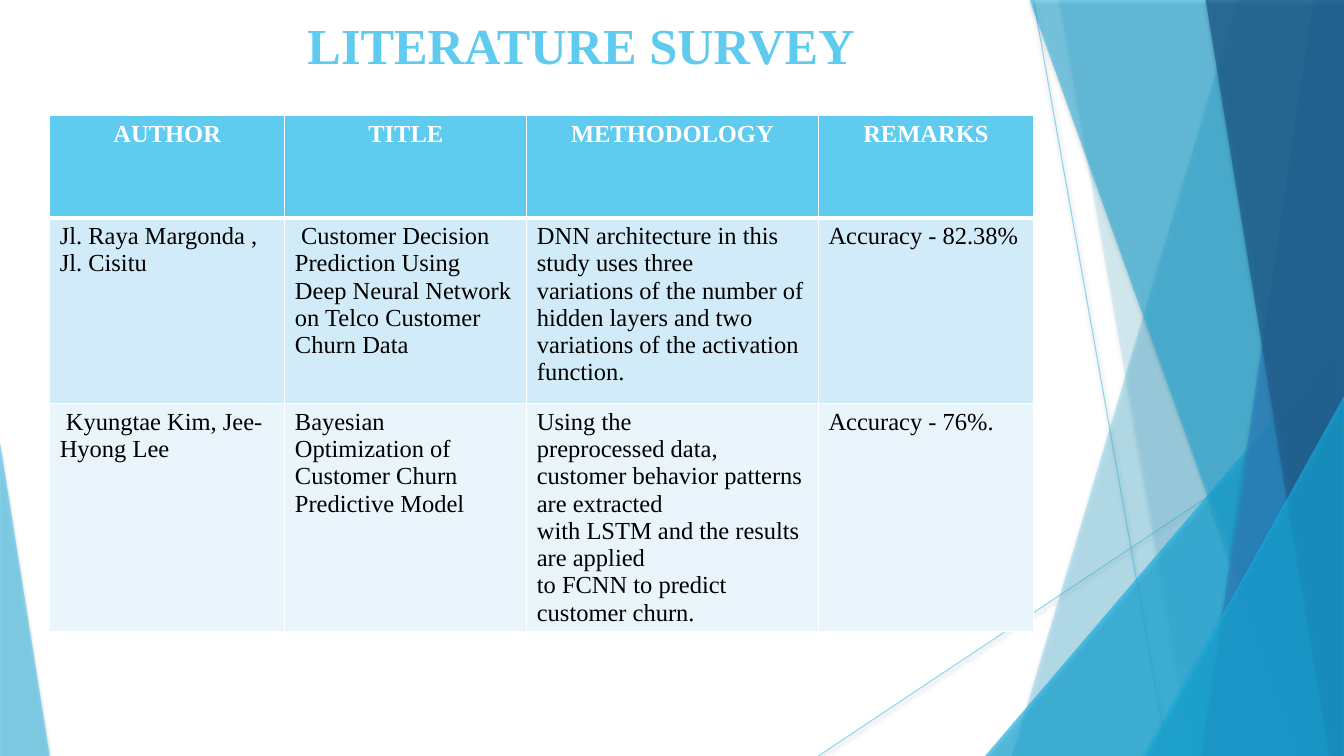
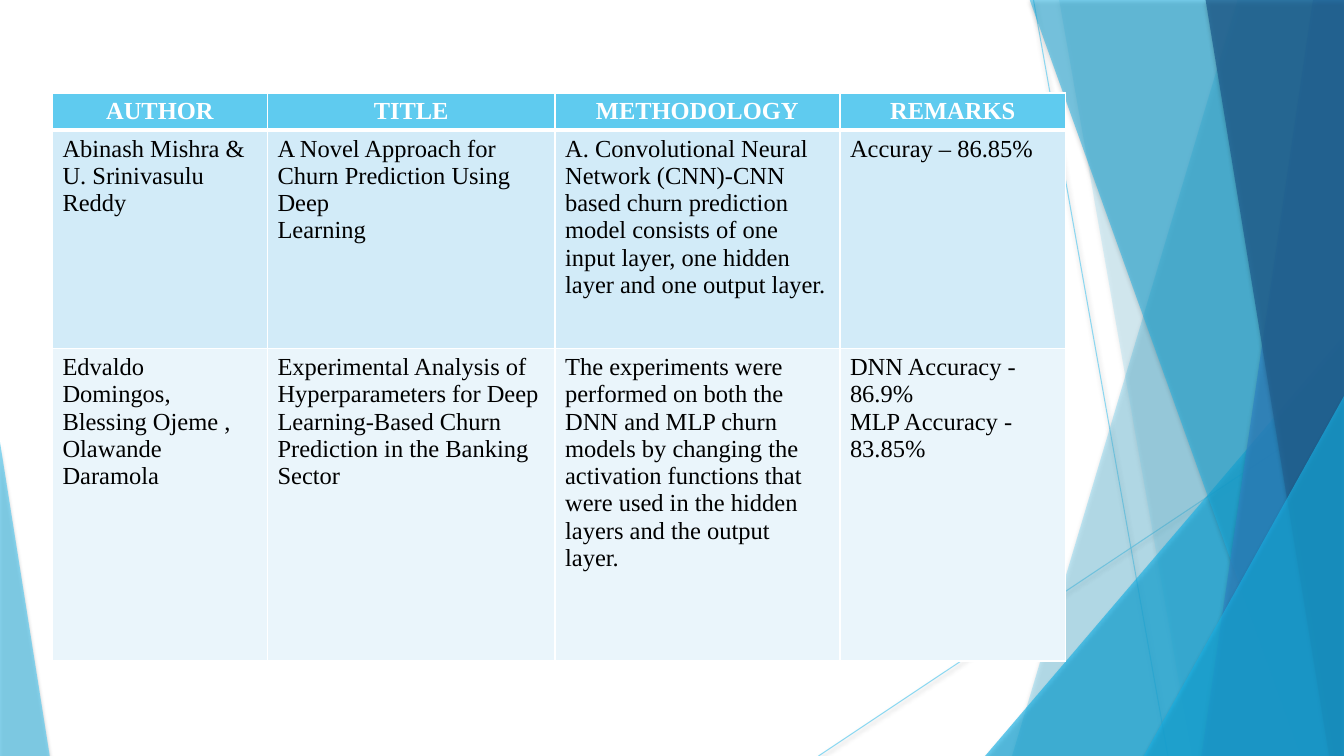
import pptx
import pptx.dml.color
import pptx.enum.shapes
import pptx.enum.text
import pptx.oxml
import pptx.oxml.ns
import pptx.util

SKY, CYAN, BLUE, NAVY = "5FCBEF", "17B0E4", "2E83C3", "226292"
WHITE, BLACK = "FFFFFF", "000000"
BODY_FILLS = ["D2EBF8", "EAF5FB"]
FONT = "Times New Roman"
DRAWING = pptx.oxml.ns.nsdecls("a")
CENTER = pptx.enum.text.PP_ALIGN.CENTER
LEFT = pptx.enum.text.PP_ALIGN.LEFT


def color(value):
    return pptx.dml.color.RGBColor.from_string(value)


def make_glassy(facet, opacity, shadow_opacity, blur, distance):
    properties = facet.element.spPr
    for tint in properties.xpath(".//a:srgbClr"):
        tint.append(pptx.oxml.parse_xml(f'<a:alpha {DRAWING} val="{opacity * 1000}"/>'))
    properties.append(pptx.oxml.parse_xml(
        f'<a:effectLst {DRAWING}><a:outerShdw blurRad="{blur}" dist="{distance}" '
        f'dir="5400000" rotWithShape="0"><a:srgbClr val="{BLACK}">'
        f'<a:alpha val="{shadow_opacity * 1000}"/></a:srgbClr></a:outerShdw></a:effectLst>'))


deck = pptx.Presentation()
deck.slide_width = pptx.util.Emu(12192000)
deck.slide_height = pptx.util.Emu(6858000)
column = deck.slide_width // 1000
row = deck.slide_height // 1000

survey = deck.slides.add_slide(deck.slide_layouts[5])
survey_continued = deck.slides.add_slide(deck.slide_layouts[6])

facets = []
for start_x, start_y, end_x, end_y in [(769, 0, 869, 1000), (1000, 537, 609, 1000)]:
    ray = survey.shapes.add_connector(
        pptx.enum.shapes.MSO_CONNECTOR.STRAIGHT,
        start_x * column, start_y * row, end_x * column, end_y * row)
    ray.line.color.rgb = color(SKY)
    ray.line.width = pptx.util.Pt(0.75)
    make_glassy(ray, 70, 38, 40000, 20000)
    facets.append(ray)

for kind, place, fill, opacity in [
    ("band", (921, 753), SKY, 36),
    ("band", (788, 887), SKY, 20),
    ("corner", (733, 444, 267, 556, 1), CYAN, 66),
    ("band", (766, 968), CYAN, 50),
    ("band", (977, 894), BLUE, 70),
    ("band", (897, 989), NAVY, 80),
    ("corner", (851, 524, 149, 476, 1), CYAN, 66),
    ("corner", (0, 585, 37, 415, 0), SKY, 70),
]:
    if kind == "band":
        top_x, bottom_x = place
        outline = survey.shapes.build_freeform(top_x, -1, (column, row))
        outline.add_line_segments([(1000, -1), (1000, 1000), (bottom_x, 1000)])
        facet = outline.convert_to_shape()
    else:
        left, top, width, height, apex = place
        facet = survey.shapes.add_shape(
            pptx.enum.shapes.MSO_SHAPE.ISOSCELES_TRIANGLE,
            left * column, top * row, width * column, height * row)
        facet.adjustments[0] = apex
    facet.fill.solid()
    facet.fill.fore_color.rgb = color(fill)
    facet.line.fill.background()
    make_glassy(facet, opacity, 35, 38100, 25400)
    facets.append(facet)

for number, facet in enumerate(facets, 100):
    facet.element.xpath(".//p:cNvPr")[0].set("id", str(number))
    deck.slide_master.shapes.element.append(facet.element)

heading = survey.shapes.title
heading.left, heading.top = 80 * column, 12 * row
heading.width, heading.height = 705 * column, 192 * row
heading.text_frame.text = "LITERATURE SURVEY"
heading.text_frame.vertical_anchor = pptx.enum.text.MSO_ANCHOR.TOP
heading_line = heading.text_frame.paragraphs[0]
heading_line.alignment = CENTER
heading_line.font.name = FONT
heading_line.font.size = pptx.util.Pt(36)
heading_line.font.bold = True
heading_line.font.color.rgb = color(SKY)

HEADERS = ["AUTHOR", "TITLE", "METHODOLOGY", "REMARKS"]
surveys = [
    (survey, (37, 153), [175, 180, 217, 160], [135, 246, 301], [
        ["Jl. Raya Margonda , Jl. Cisitu",
         " Customer Decision Prediction Using Deep Neural Network\n"
         "on Telco Customer Churn Data",
         "DNN architecture in this study uses three\n"
         "variations of the number of hidden layers and two\n"
         "variations of the activation function.",
         "Accuracy - 82.38%"],
        [" Kyungtae Kim, Jee-Hyong Lee",
         "Bayesian Optimization of Customer Churn\nPredictive Model",
         "Using the\n"
         "preprocessed data, customer behavior patterns are extracted\n"
         "with LSTM and the results are applied\n"
         "to FCNN to predict customer churn.",
         "Accuracy - 76%."],
    ]),
    (survey_continued, (39, 123), [160, 214, 212, 168], [49, 289, 413], [
        ["Abinash Mishra & U. Srinivasulu Reddy",
         "A Novel Approach for Churn Prediction Using Deep\nLearning",
         "A. Convolutional Neural Network (CNN)-CNN based churn prediction model "
         "consists of one input layer, one hidden layer and one output layer.",
         "Accuray – 86.85%"],
        ["Edvaldo Domingos, Blessing Ojeme , Olawande Daramola",
         "Experimental Analysis of Hyperparameters for Deep\n"
         "Learning-Based Churn Prediction in the Banking Sector",
         "The experiments were performed on both the DNN and MLP churn models by "
         "changing the activation functions that were used in the hidden layers "
         "and the output layer.",
         "DNN Accuracy - 86.9%\nMLP Accuracy - 83.85%"],
    ]),
]

for page, (left, top), widths, heights, papers in surveys:
    literature = page.shapes.add_table(
        len(heights), len(widths), left * column, top * row,
        sum(widths) * column, sum(heights) * row).table
    for index, width in enumerate(widths):
        literature.columns[index].width = width * column
    for index, entries in enumerate([HEADERS] + papers):
        literature.rows[index].height = heights[index] * row
        is_header = index == 0
        for position, entry in enumerate(entries):
            cell = literature.cell(index, position)
            cell.text = entry
            cell.fill.solid()
            cell.fill.fore_color.rgb = color(SKY if is_header else BODY_FILLS[index - 1])
            for paragraph in cell.text_frame.paragraphs:
                paragraph.alignment = CENTER if is_header else LEFT
                paragraph.font.name = FONT
                paragraph.font.size = pptx.util.Pt(17.5)
                paragraph.font.bold = is_header
                paragraph.font.color.rgb = color(WHITE if is_header else BLACK)
            for order, side in enumerate("LRTB"):
                is_thick = (index, side) in [(0, "B"), (1, "T")]
                cell.fill._xPr.insert(order, pptx.oxml.parse_xml(
                    f'<a:ln{side} {DRAWING} w="{38100 if is_thick else 12192}"><a:solidFill>'
                    f'<a:srgbClr val="{WHITE}"/></a:solidFill></a:ln{side}>'))

deck.save("out.pptx")
